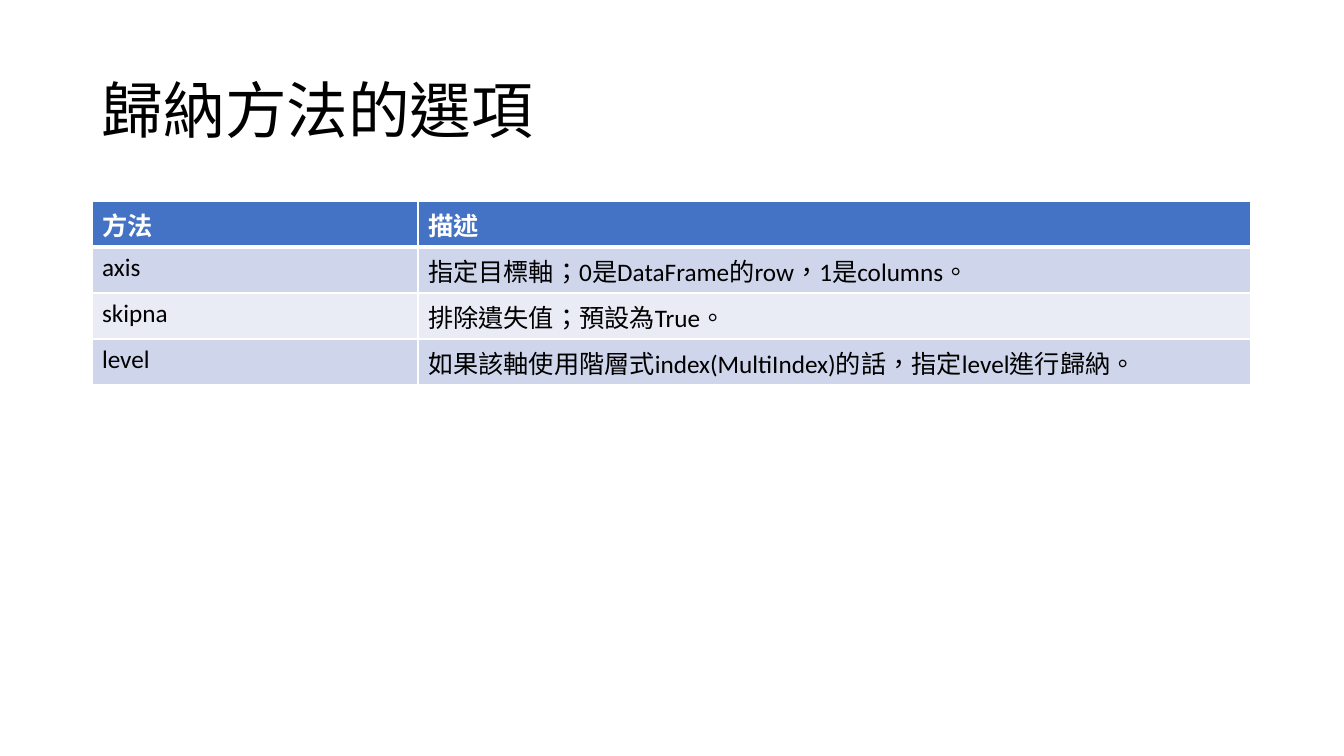
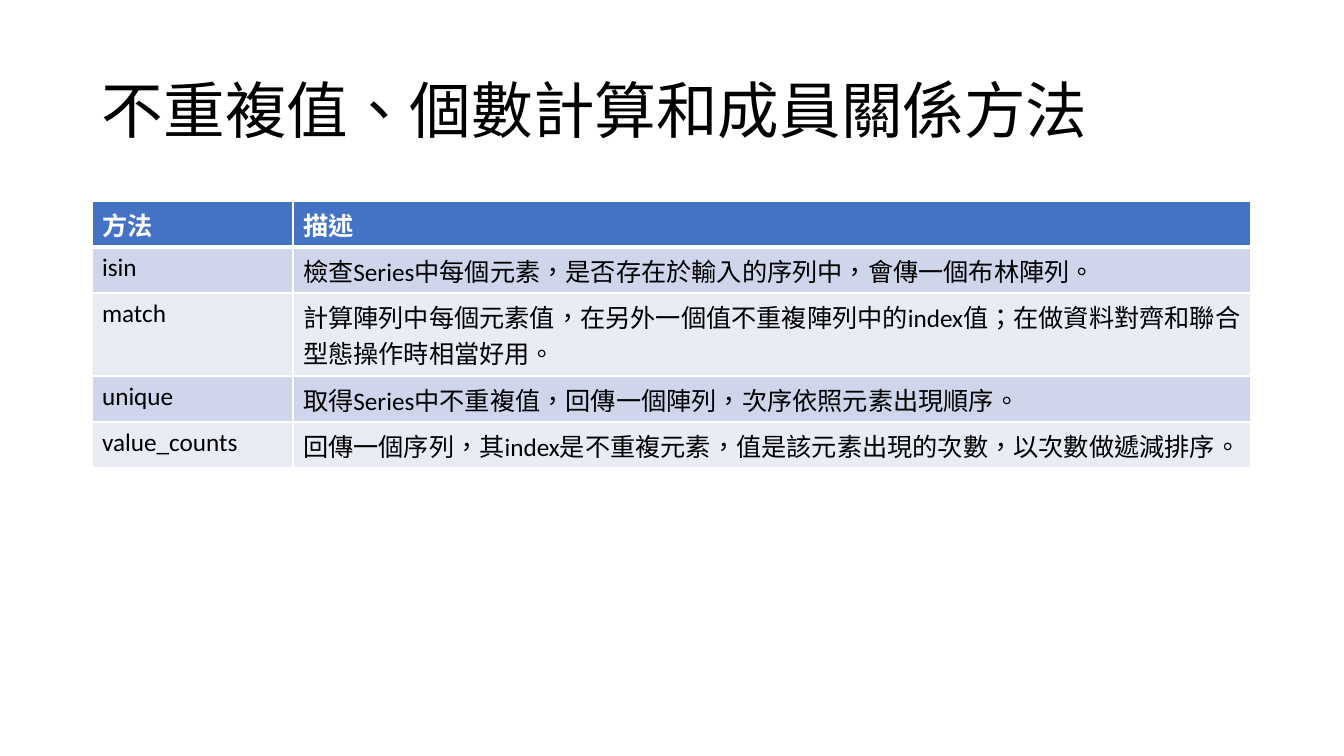
from lxml import etree
from pptx import Presentation
from pptx import util as u
from pptx.dml.color import RGBColor
from pptx.enum import lang, text
from pptx.oxml import ns

SCALE = u.Inches(1) / 100.8
BLACK = RGBColor(0x00, 0x00, 0x00)
WHITE = RGBColor(0xFF, 0xFF, 0xFF)
HEADER_BLUE = RGBColor(0x44, 0x72, 0xC4)
BAND_DARK = RGBColor(0xCF, 0xD5, 0xEA)
BAND_LIGHT = RGBColor(0xE9, 0xEB, 0xF5)

LEFT, WIDTH = 92, 1159
TITLE_TOP, TITLE_HEIGHT = 41, 146
TABLE_TOP, ROW_HEIGHT, LINE_HEIGHT = 201, 46, 37
THIN, THICK = 1, 3

BASE = {"name": "Calibri", "language_id": lang.MSO_LANGUAGE_ID.TRADITIONAL_CHINESE}
TITLE = {**BASE, "size": u.Pt(44), "bold": False, "color": BLACK}
HEADER = {**BASE, "size": u.Pt(18), "bold": True, "color": WHITE}
BODY = {**HEADER, "bold": False, "color": BLACK}

HEADINGS = ("方法", "描述", 1)
SLIDES = [
    ("歸納方法的選項", 326, [
        ("axis", "指定目標軸；0是DataFrame的row，1是columns。", 1),
        ("skipna", "排除遺失值；預設為True。", 1),
        ("level", "如果該軸使用階層式index(MultiIndex)的話，指定level進行歸納。", 1),
    ]),
    ("不重複值、個數計算和成員關係方法", 201, [
        ("isin", "檢查Series中每個元素，是否存在於輸入的序列中，會傳一個布林陣列。", 1),
        ("match", "計算陣列中每個元素值，在另外一個值不重複陣列中的index值；"
                  "在做資料對齊和聯合型態操作時相當好用。", 2),
        ("unique", "取得Series中不重複值，回傳一個陣列，次序依照元素出現順序。", 1),
        ("value_counts", "回傳一個序列，其index是不重複元素，值是該元素出現的次數，"
                         "以次數做遞減排序。", 1),
    ]),
]


def px(length):
    return u.Emu(round(length * SCALE))


def write(para, words, style):
    span = para.add_run()
    span.text = words
    for key, value in style.items():
        if key == "color":
            span.font.color.rgb = value
        else:
            setattr(span.font, key, value)


def add_title(page, words):
    box = page.shapes.add_textbox(px(LEFT), px(TITLE_TOP), px(WIDTH), px(TITLE_HEIGHT))
    frame = box.text_frame
    frame.word_wrap = True
    frame.vertical_anchor = text.MSO_ANCHOR.MIDDLE
    para = frame.paragraphs[0]
    para.line_spacing = 0.9
    write(para, words, TITLE)


def set_borders(cell, widths):
    properties = cell._tc.get_or_add_tcPr()
    for side, width in widths.items():
        line = etree.SubElement(properties, ns.qn("a:ln" + side), w=str(u.Pt(width)))
        fill = etree.SubElement(line, ns.qn("a:solidFill"))
        etree.SubElement(fill, ns.qn("a:srgbClr"), val=str(WHITE))


def fill_cell(cell, words, row):
    set_borders(cell, {
        "L": THIN,
        "R": THIN,
        "T": THICK if row == 1 else THIN,
        "B": THICK if row == 0 else THIN,
    })
    cell.fill.solid()
    if row == 0:
        cell.fill.fore_color.rgb = HEADER_BLUE
    else:
        cell.fill.fore_color.rgb = BAND_DARK if row % 2 else BAND_LIGHT
    write(cell.text_frame.paragraphs[0], words, BODY if row else HEADER)


def add_method_table(page, name_width, methods):
    rows = [HEADINGS, *methods]
    heights = [ROW_HEIGHT + (lines - 1) * LINE_HEIGHT for *_, lines in rows]
    widths = (name_width, WIDTH - name_width)
    frame = page.shapes.add_table(len(rows), len(widths), px(LEFT), px(TABLE_TOP),
                                  px(WIDTH), px(sum(heights)))
    table = frame.table
    for column, width in zip(table.columns, widths):
        column.width = px(width)
    for row, (*entries, _) in enumerate(rows):
        table.rows[row].height = px(heights[row])
        for column, words in enumerate(entries):
            fill_cell(table.cell(row, column), words, row)


def main():
    deck = Presentation()
    deck.slide_width, deck.slide_height = px(1344), px(756)
    for title, name_width, methods in SLIDES:
        page = deck.slides.add_slide(deck.slide_layouts[6])
        add_title(page, title)
        add_method_table(page, name_width, methods)
    deck.save("out.pptx")


main()
